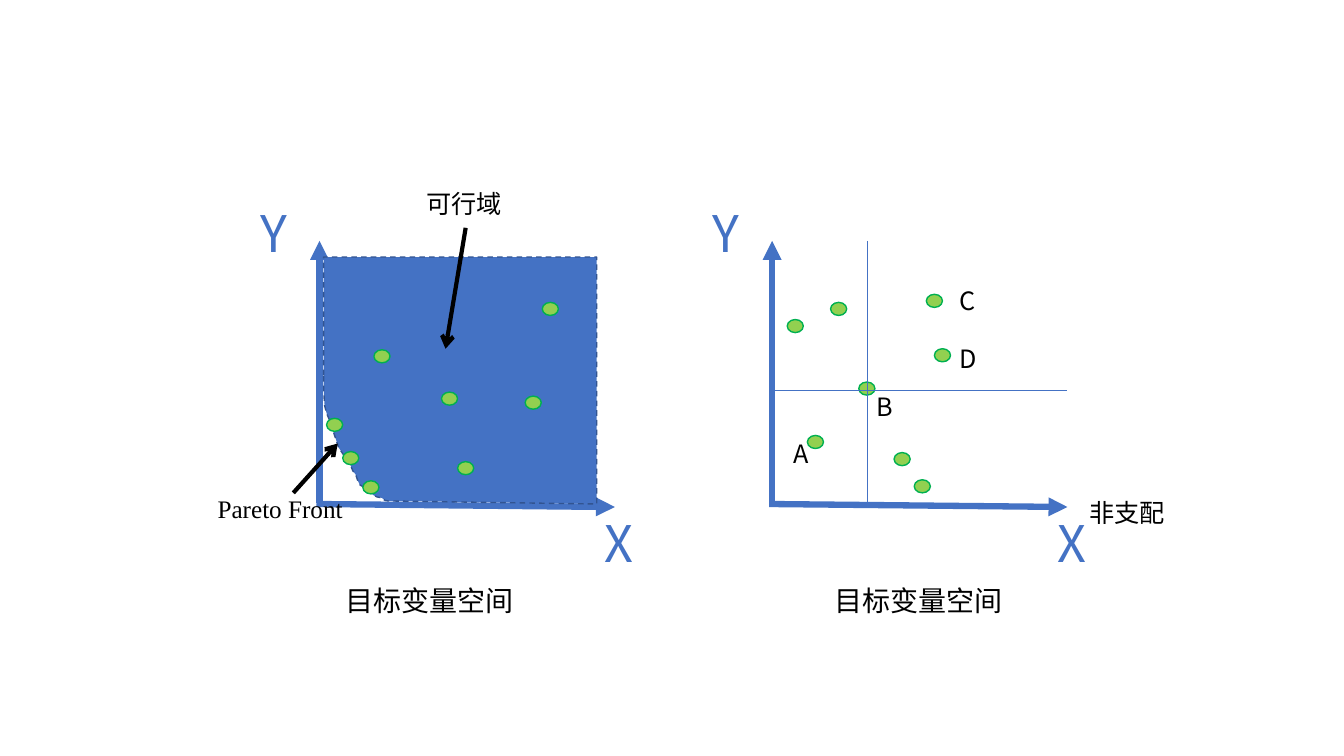
from lxml import etree
from pptx import Presentation
from pptx.dml.color import RGBColor
from pptx.enum.dml import MSO_LINE
from pptx.enum.shapes import MSO_CONNECTOR, MSO_SHAPE
from pptx.enum.text import MSO_AUTO_SIZE, PP_ALIGN
from pptx.oxml.ns import qn
from pptx.util import Inches, Pt

STRAIGHT = MSO_CONNECTOR.STRAIGHT
OVAL = MSO_SHAPE.OVAL
DASH = MSO_LINE.DASH
FIT = MSO_AUTO_SIZE.SHAPE_TO_FIT_TEXT
LEFT, CENTER = PP_ALIGN.LEFT, PP_ALIGN.CENTER

COLORS = {"blue": "4472C4", "edge": "325491", "dot": "92D050",
          "dot_edge": "00B050", "black": "000000"}
CJK, LATO, SERIF = "Noto Sans CJK SC", "Lato", "Times New Roman"

# Square grid of tenths of an inch; every length below is in grid cells
CELL = Inches(0.1)
SLIDE_COLS, SLIDE_ROWS = 133.33, 75
DOT_W, DOT_H = 1.6, 1.3
LEFT_PLOT, RIGHT_PLOT = 31.7, 76.6  # columns of the two vertical axes
BASE = 50                           # row of the horizontal axes
AXIS_TOP, AXIS_END = 23.9, 29.3
CAPTION = "目标变量空间"

# Dot corners: columns from the vertical axis, slide rows
FEASIBLE_DOTS = [(0.7, 41.5), (2.3, 44.8), (4.3, 47.7), (5.4, 34.7),
                 (20.4, 39.3), (22.1, 30), (12.1, 38.9), (13.7, 45.8)]
DOT_B = (8.6, 37.9)
OTHER_DOTS = [(1.5, 31.7), (5.8, 30), (3.5, 43.2), (12.1, 44.9),
              (14.1, 47.6), (15.3, 29.2), (16.1, 34.6)]

# Feasible region: the Pareto edge, then the three straight sides
REGION = [(32.1, 37.3), (32.12, 38.8), (32.2, 40.2), (32.4, 41), (32.7, 41.7),
          (33.3, 43.5), (33.6, 44.4), (34.2, 45.3), (34.8, 46.2), (35, 46.7),
          (35.3, 47.1), (35.5, 47.7), (35.7, 48.1), (36.2, 48.4), (36.6, 48.7),
          (37, 49.1), (37.4, 49.3), (37.9, 49.4), (38.2, 49.65), (38.5, 49.7),
          (59.2, 50), (59.2, 25.5), (32.1, 25.5)]

# Point names and notes: text, column, row, width, font
NOTES = [("非支配", 107.1, 48.8, 11.5, CJK),
         ("Pareto Front", 20.6, 48.4, 16.9, SERIF),
         ("可行域", 41.3, 18.2, 11.5, CJK),
         ("A", 77.7, 43, 5.9, CJK),
         ("B", 86, 38.3, 3.9, CJK),
         ("C", 94.2, 27.8, 3.9, CJK),
         ("D", 94.2, 33.6, 3.9, CJK)]


def cells(*values):
    return [round(v * CELL) for v in values]


def rgb(name):
    return RGBColor.from_string(COLORS[name])


def add_text(s, text, box, size, font, color="black", align=LEFT, wrap=True):
    tf = s.shapes.add_textbox(*cells(*box)).text_frame
    tf.word_wrap = wrap
    tf.auto_size = FIT
    p = tf.paragraphs[0]
    p.alignment = align
    r = p.add_run()
    r.text = text
    r.font.size = Pt(size)
    r.font.name = font
    r.font.color.rgb = rgb(color)
    etree.SubElement(r.font._element, qn("a:ea"), typeface=CJK)


def add_line(s, start, end, color, width, head=None):
    line = s.shapes.add_connector(STRAIGHT, *cells(*start, *end))
    line.line.color.rgb = rgb(color)
    line.line.width = Pt(width)
    if head:
        etree.SubElement(line.line._get_or_add_ln(), qn("a:tailEnd"), type=head)
    etree.SubElement(line._element.spPr, qn("a:effectLst"))


def paint(sp, fill, edge):
    sp.shadow.inherit = False
    sp.fill.solid()
    sp.fill.fore_color.rgb = rgb(fill)
    sp.line.color.rgb = rgb(edge)
    sp.line.width = Pt(1)


def add_dots(s, plot, dots):
    for dx, row in dots:
        sp = s.shapes.add_shape(OVAL, *cells(plot + dx, row, DOT_W, DOT_H))
        paint(sp, "dot", "dot_edge")


def add_axes(s, plot):
    add_line(s, (plot, BASE - 0.1), (plot, AXIS_TOP), "blue", 4.5, "triangle")
    add_line(s, (plot - 0.3, BASE), (plot + AXIS_END, BASE + 0.3),
             "blue", 4.5, "triangle")
    for name, dx, row in [("Y", -7, 19.6), ("X", 27.3, 50.3)]:
        add_text(s, name, (plot + dx, row, 4.85, 7.1), 36, CJK, "blue",
                 CENTER, wrap=False)


def add_region(s):
    builder = s.shapes.build_freeform(*cells(*REGION[0]))
    builder.add_line_segments([cells(*point) for point in REGION[1:]])
    sp = builder.convert_to_shape()
    paint(sp, "blue", "edge")
    sp.line.dash_style = DASH


def main():
    prs = Presentation()
    prs.slide_width, prs.slide_height = cells(SLIDE_COLS, SLIDE_ROWS)
    s = prs.slides.add_slide(prs.slide_layouts[6])

    # Axes and captions
    for plot in (LEFT_PLOT, RIGHT_PLOT):
        add_axes(s, plot)
    for col in (21.9, 70.4):
        add_text(s, CAPTION, (col, 57.4, 41.5, 4.4), 20, LATO, align=CENTER)

    # Left plot: feasible region and its points
    add_region(s)
    add_dots(s, LEFT_PLOT, FEASIBLE_DOTS)

    # Right plot: guides through B and the points around it
    add_dots(s, RIGHT_PLOT, [DOT_B])
    add_line(s, (RIGHT_PLOT, 38.7), (RIGHT_PLOT + AXIS_END, 38.7), "blue", 0.5)
    add_line(s, (86, AXIS_TOP), (86, BASE), "blue", 0.5)
    add_dots(s, RIGHT_PLOT, OTHER_DOTS)

    # Notes and their arrows
    for text, col, row, width, font in NOTES:
        add_text(s, text, (col, row, width, 4), 18, font)
    add_line(s, (29.1, 48.9), (33.5, 44), "black", 3, "arrow")
    add_line(s, (46.2, 22.6), (44.2, 34.6), "black", 3, "arrow")

    prs.save("out.pptx")


if __name__ == "__main__":
    main()
